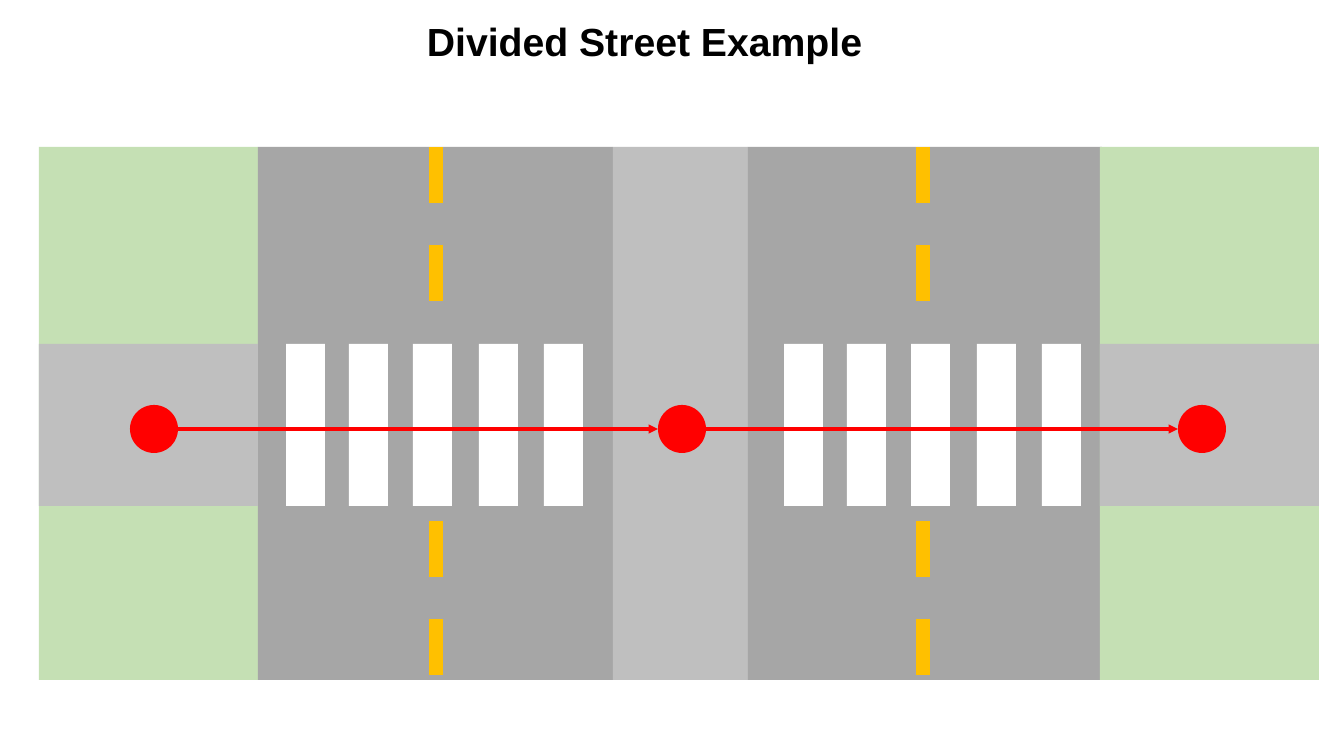
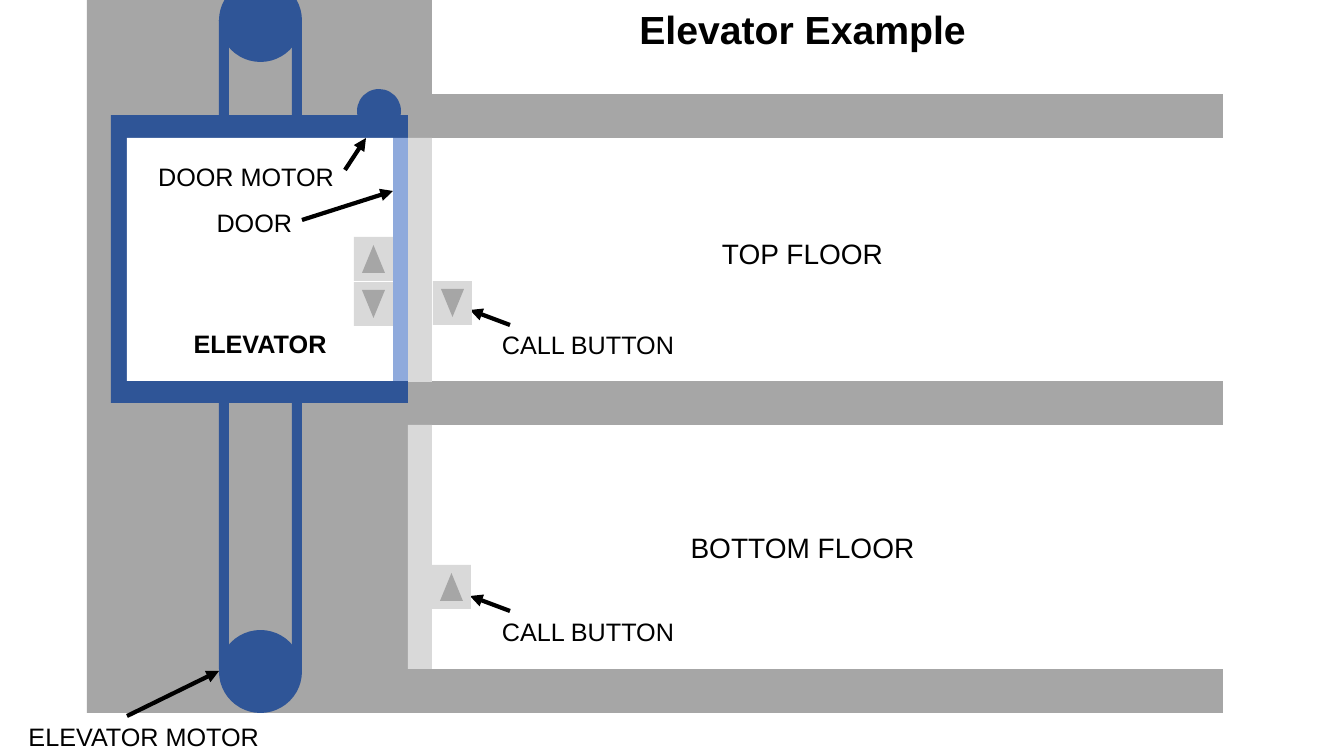
from pptx import Presentation
from pptx.dml.color import RGBColor
from pptx.enum.dml import MSO_LINE
from pptx.enum.shapes import MSO_CONNECTOR, MSO_SHAPE as SHAPE
from pptx.enum.text import PP_ALIGN as ALIGN
from pptx.oxml.ns import qn
from pptx.util import Emu, Pt
from lxml import etree

PX = 914400 / 100.8
FONT = "Arial"
COLORS = {
    "grass": "C5E0B4", "road": "A6A6A6", "walk": "BFBFBF", "lane": "FFC000",
    "white": "FFFFFF", "route": "FF0000", "black": "000000",
    "panel": "D9D9D9", "steel": "2F5597", "door": "8FAADC",
}

# Street content
TOP, DEPTH = 147, 533
BANDS = [(39, 219, "grass"), (258, 355, "road"), (613, 135, "walk"),
         (748, 354, "road"), (1100, 219, "grass")]
LANE_XS = [436, 923]
LANE_SPANS = [(147, 305), (521, 680)]
CROSS_TOP, CROSS_DEPTH = 344, 162
SIDEWALK_XS = [39, 1100]
CROSSING_XS = [286, 784]
STRIPE_OFFSETS = [0, 63, 127, 193, 258]
NODE_XS, NODE_Y, NODE_SIZE = [130, 658, 1178], 405, 48

# Elevator content
FLOOR_YS = [94, 381, 669]
FLOOR_LABELS = [("TOP FLOOR", 232), ("BOTTOM FLOOR", 526)]
DOORWAY_YS = [138, 425]
PULLEY_YS = [-21, 630]
CABLE_XS = [219, 292]
CAR_LABELS = [  # text, box, alignment, bold
    ("ELEVATOR", (176, 323, 168, 58), ALIGN.CENTER, True),
    ("DOOR MOTOR", (127, 156, 217, 58), ALIGN.RIGHT, False),
    ("DOOR", (134, 202, 168, 58), ALIGN.RIGHT, False),
]
CAR_ARROWS = [(345, 170, 366, 138), (302, 220, 393, 191)]
OUTER_LABELS = [
    ("ELEVATOR MOTOR", (0, 716, 269, 40), ALIGN.RIGHT),
    ("CALL BUTTON", (492, 324, 209, 58), ALIGN.LEFT),
    ("CALL BUTTON", (492, 611, 209, 58), ALIGN.LEFT),
]
OUTER_ARROWS = [(127, 716, 219, 671), (510, 325, 470, 310),
                (510, 611, 470, 596)]
BUTTON_PANELS = [  # x, y, pointing up
    [(432, 565, True)],
    [(354, 282, False), (354, 237, True)],
    [(433, 281, False)],
]


# Shared helpers
def px(n):
    return Emu(round(n * PX))


def rgb(name):
    return RGBColor.from_string(COLORS[name])


def add_block(shapes, x, y, w, h, color, kind=SHAPE.RECTANGLE):
    sp = shapes.add_shape(kind, px(x), px(y), px(w), px(h))
    sp.shadow.inherit = False
    sp.fill.solid()
    sp.fill.fore_color.rgb = rgb(color)
    sp.line.fill.background()
    return sp


def add_text(shapes, text, box, size, align=ALIGN.CENTER, bold=False):
    tf = shapes.add_textbox(*map(px, box)).text_frame
    tf.word_wrap = True
    p = tf.paragraphs[0]
    p.text = text
    p.alignment = align
    font = p.runs[0].font
    font.name, font.size, font.bold = FONT, Pt(size), bold
    font.color.rgb = rgb("black")


def add_line(shapes, ends, color, width, arrow=True):
    cx = shapes.add_connector(MSO_CONNECTOR.STRAIGHT, *map(px, ends))
    cx.line.color.rgb = rgb(color)
    cx.line.width = Pt(width)
    if arrow:
        etree.SubElement(cx.line._get_or_add_ln(), qn("a:tailEnd"),
                         type="triangle")
    else:
        cx.line.dash_style = MSO_LINE.DASH
    etree.SubElement(cx._element.spPr, qn("a:effectLst"))


def add_slide(title, box):
    shapes = prs.slides.add_slide(prs.slide_layouts[6]).shapes
    add_text(shapes, title, box, 28, bold=True)
    return shapes


def add_button(shapes, x, y, up):
    add_block(shapes, x, y, 39, 44, "panel")
    mark = add_block(shapes, x + 8, y + 8, 23, 28, "road",
                     SHAPE.ISOSCELES_TRIANGLE)
    mark.rotation = 0 if up else 180


prs = Presentation()
prs.slide_width, prs.slide_height = px(1344), px(756)

# Slide 1: ground, lane markings and crossings
street = add_slide("Divided Street Example", (290, 12, 709, 57))
for x, w, color in BANDS:
    add_block(street, x, TOP, w, DEPTH, color)
for x in SIDEWALK_XS:
    add_block(street, x, CROSS_TOP, 219, CROSS_DEPTH, "walk")
for x in LANE_XS:
    for y1, y2 in LANE_SPANS:
        add_line(street, (x, y1, x, y2), "lane", 10, arrow=False)
for x in CROSSING_XS:
    for offset in STRIPE_OFFSETS:
        add_block(street, x + offset, CROSS_TOP, 39, CROSS_DEPTH, "white")

# Slide 1: walking route
for x in NODE_XS:
    add_block(street, x, NODE_Y, NODE_SIZE, NODE_SIZE, "route", SHAPE.OVAL)
route_y = NODE_Y + NODE_SIZE / 2
for start, end in zip(NODE_XS, NODE_XS[1:]):
    add_line(street, (start + NODE_SIZE, route_y, end, route_y), "route", 2.25)

# Slide 2: shaft, floors and pulleys
lift = add_slide("Elevator Example", (480, 0, 645, 57))
add_block(lift, 87, 0, 345, 713, "road")
for y in FLOOR_YS:
    add_block(lift, 432, y, 791, 44, "road")
for y in DOORWAY_YS:
    add_block(lift, 408, y, 24, 244, "panel")
for y in PULLEY_YS:
    add_block(lift, 219, y, 83, 83, "steel", SHAPE.OVAL)
for x in CABLE_XS:
    add_block(lift, x, 20, 10, 649, "steel")
for text, y in FLOOR_LABELS:
    add_text(lift, text, (480, y, 645, 44), 20)

# Slide 2: elevator car
car = lift.add_group_shape().shapes
add_block(car, 111, 115, 297, 288, "steel")
add_block(car, 393, 138, 15, 243, "door")
add_block(car, 357, 89, 44, 44, "steel", SHAPE.OVAL)
add_block(car, 127, 138, 266, 243, "white")
for text, box, align, bold in CAR_LABELS:
    add_text(car, text, box, 18, align, bold)
for ends in CAR_ARROWS:
    add_line(car, ends, "black", 3)

# Slide 2: outer labels and buttons
for text, box, align in OUTER_LABELS:
    add_text(lift, text, box, 18, align)
for ends in OUTER_ARROWS:
    add_line(lift, ends, "black", 3)
for panel in BUTTON_PANELS:
    group = lift.add_group_shape().shapes
    for x, y, up in panel:
        add_button(group, x, y, up)

prs.save("out.pptx")
